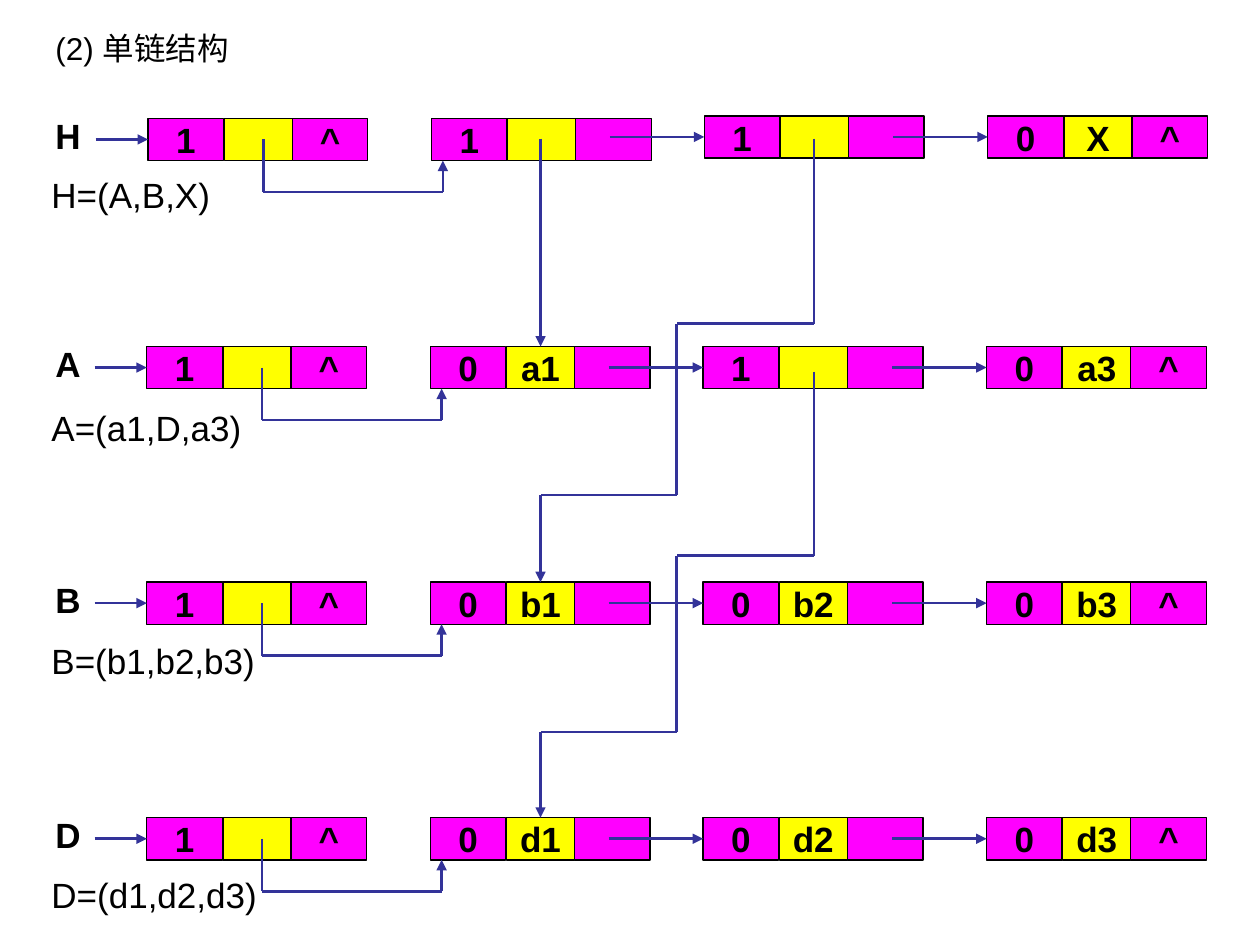
from itertools import pairwise

from pptx import Presentation
from pptx.dml.color import RGBColor
from pptx.enum.shapes import MSO_CONNECTOR, MSO_SHAPE
from pptx.enum.text import MSO_ANCHOR, PP_ALIGN
from pptx.oxml.ns import qn
from pptx.util import Inches, Pt


def rgb(value):
    """Turn a hex string into a colour."""
    return RGBColor.from_string(value)


class Diagram:
    """Style and current slide, measured in grid cells of a tenth of an inch."""

    FONT, INK, LINK = "Arial", "000000", "333399"
    TAG, DATA = "FF00FF", "FFFF00"
    CELLS = ((0, 6, TAG), (6.05, 5.4, DATA), (11.45, 6, TAG))
    CELL_HEIGHT, MIDDLE = 3.35, 1.67

    def __init__(self, prs):
        """Add a title-only slide."""
        self.slide = prs.slides.add_slide(prs.slide_layouts[5])

    def grid(self, *cells):
        """Turn grid cells into lengths."""
        return [Inches(cell / 10) for cell in cells]

    def add_text(self, tf, text, size=20, bold=False, align=PP_ALIGN.LEFT):
        """Put one run into a text frame."""
        p = tf.paragraphs[0]
        p.alignment = align
        r = p.add_run()
        r.text = text
        r.font.name, r.font.size, r.font.bold = self.FONT, Pt(size), bold
        r.font.color.rgb = rgb(self.INK)

    def title(self, text, *box):
        """Place and fill the title placeholder."""
        sp = self.slide.shapes.title
        sp.left, sp.top, sp.width, sp.height = self.grid(*box)
        sp.text_frame.vertical_anchor = MSO_ANCHOR.TOP
        sp.text_frame.word_wrap = True
        self.add_text(sp.text_frame, text, size=18)

    def label(self, text, *box, bold=False):
        """Add a text box."""
        tf = self.slide.shapes.add_textbox(*self.grid(*box)).text_frame
        tf.word_wrap = True
        self.add_text(tf, text, bold=bold)

    def node(self, x, y, texts):
        """Add a list node of tag, data and next cells."""
        for (dx, width, fill), text in zip(self.CELLS, texts):
            box = self.grid(x + dx, y, width, self.CELL_HEIGHT)
            sp = self.slide.shapes.add_shape(MSO_SHAPE.RECTANGLE, *box)
            sp.shadow.inherit = False
            sp.fill.solid()
            sp.fill.fore_color.rgb = rgb(fill)
            sp.line.color.rgb = rgb(self.INK)
            sp.line.width = Pt(0.75)
            tf = sp.text_frame
            tf.word_wrap = False
            tf.vertical_anchor = MSO_ANCHOR.MIDDLE
            if text:
                self.add_text(tf, text, bold=True, align=PP_ALIGN.CENTER)

    def link(self, *points):
        """Join points by straight lines with an arrowhead at the last."""
        for start, end in pairwise(points):
            sp = self.slide.shapes.add_connector(
                MSO_CONNECTOR.STRAIGHT, *self.grid(*start, *end))
            sp.line.color.rgb = rgb(self.LINK)
            sp.line.width = Pt(1.5)
            props = sp._element.spPr
            props.append(props.makeelement(qn("a:effectLst"), {}))
        ln = props.find(qn("a:ln"))
        ln.append(ln.makeelement(qn("a:tailEnd"), {"type": "triangle"}))

    def chain(self, name, y, nodes, shift=0, rise=0):
        """Add a named row: a head node and the nodes it leads to."""
        head, first, *rest = [x + shift for x in (11.65, 34.15, 55.8, 78.3)]
        mid = y + self.MIDDLE
        self.node(head, y, ("1", "", "^"))
        self.node(first, y, nodes[0])
        for x, texts in zip(rest, nodes[1:]):
            self.node(x, y - rise, texts)
        self.link((head - 4.15, mid), (head, mid))
        for x in rest:
            self.link((x - 7.5, mid - rise), (x, mid - rise))
        down, up, low = head + 9.15, first + 0.9, y + 5.85
        self.link((down, mid), (down, low), (up, low),
                  (up, y + self.CELL_HEIGHT))
        self.label(name, 3.4, y - 0.8, 5.8, 4.3, bold=True)


def main():
    """Build the linked list slide."""
    prs = Presentation()
    prs.slide_width, prs.slide_height = Inches(10), Inches(7.5)
    d = Diagram(prs)
    d.title("(2) 单链结构", 3.4, 1.8, 17.5, 4)

    top_h, top_a, top_b, top_d = 9.4, 27.5, 46.2, 64.9
    d.chain("H", top_h, (("1", "", ""), ("1", "", ""), ("0", "X", "^")),
            shift=0.1, rise=0.2)
    d.chain("A", top_a, (("0", "a1", ""), ("1", "", ""), ("0", "a3", "^")))
    for name, top in (("B", top_b), ("D", top_d)):
        low = name.lower()
        d.chain(name, top, [("0", f"{low}{i}", "^" if i == 3 else "")
                            for i in (1, 2, 3)])

    formulas = ("H=(A,B,X)", "A=(a1,D,a3)", "B=(b1,b2,b3)", "D=(d1,d2,d3)")
    for i, text in enumerate(formulas):
        d.label(text, 3.1, 13.3 + 18.5 * i, 21.7, 4.3)

    left, centre, right = 42.9, 53.7, 64.6
    d.link((left, 11), (left, top_a))
    for start, upper, lower, end in ((11, 25.7, 39.3, top_b),
                                     (29.5, 44.1, 58.1, top_d)):
        d.link((right, start), (right, upper), (centre, upper),
               (centre, lower), (left, lower), (left, end))
    prs.save("out.pptx")


if __name__ == "__main__":
    main()
